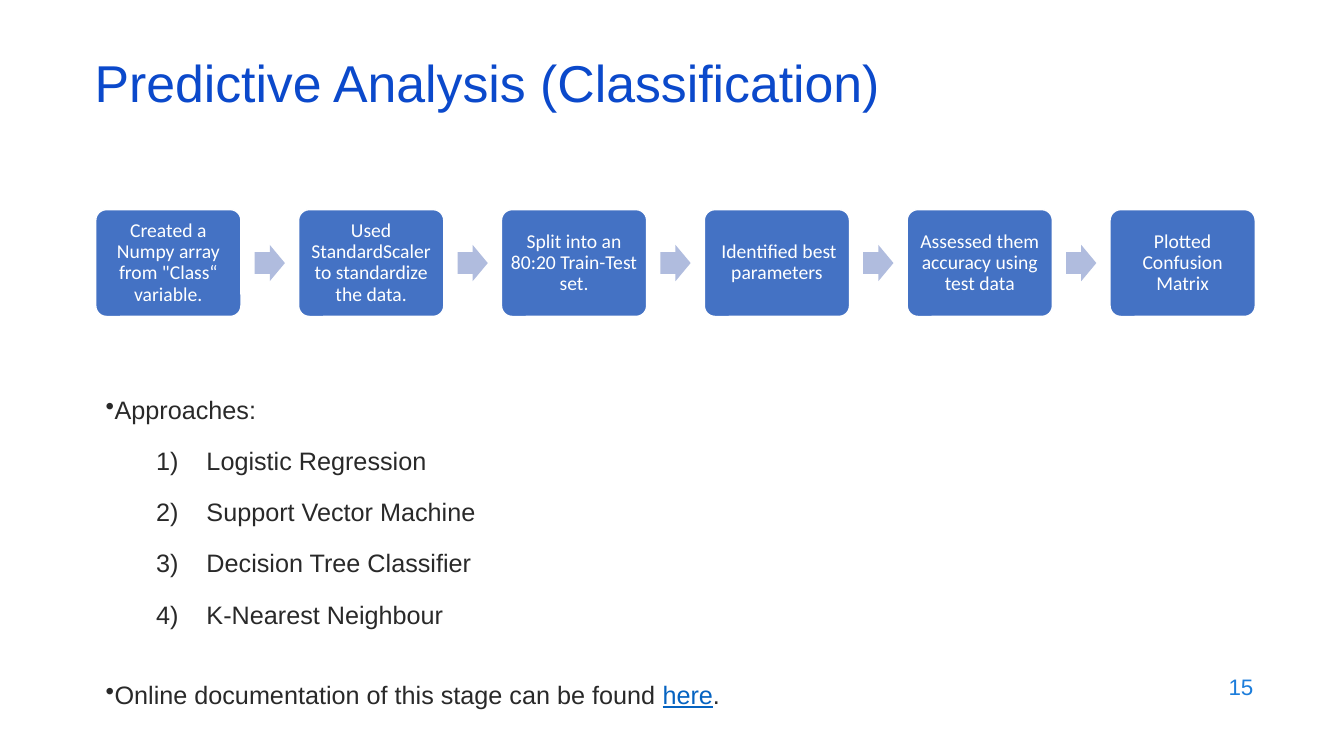
"""Build the slide on predictive analysis by classification."""
from lxml.etree import SubElement
from pptx import Presentation
from pptx.dml.color import RGBColor
from pptx.enum.shapes import MSO_SHAPE
from pptx.enum.text import MSO_ANCHOR, PP_ALIGN
from pptx.oxml.ns import qn
from pptx.util import Inches, Pt

TITLE = "Predictive Analysis (Classification)"
NUMBER = "15"
STEPS = [
    'Created a Numpy array from "Class“ variable.',
    "Used StandardScaler to standardize the data.",
    "Split into an 80:20 Train-Test set.",
    " Identified best parameters",
    "Assessed them accuracy using test data",
    "Plotted Confusion Matrix",
]
HEAD = "Approaches:"
METHODS = [
    "Logistic Regression",
    "Support Vector Machine",
    "Decision Tree Classifier",
    "K-Nearest Neighbour",
]
SOURCE = ["Online documentation of this stage can be found ", "here", "."]

NAVY = RGBColor(0x0B, 0x49, 0xCB)
SKY = RGBColor(0x1C, 0x7D, 0xDB)
INK = RGBColor(0x29, 0x29, 0x29)
LINK = RGBColor(0x05, 0x63, 0xC1)
BLUE = RGBColor(0x44, 0x72, 0xC4)
PALE = RGBColor(0xB0, 0xBC, 0xDE)
WHITE = RGBColor(0xFF, 0xFF, 0xFF)

LEFT, LAST, TOP = 0.95, 11.01, 2.08
BOX_W, BOX_H = 1.44, 1.06
ARROW_W, ARROW_H = 0.3, 0.36


def set_font(para, size, color, name="Arial"):
    font = para.font
    font.size, font.name = Pt(size), name
    font.color.rgb = color


def add_text(slide, area, anchor=MSO_ANCHOR.MIDDLE):
    frame = slide.shapes.add_textbox(*map(Inches, area)).text_frame
    frame.word_wrap = True
    frame.vertical_anchor = anchor
    return frame


def add_shape(slide, kind, area, fill, adjust):
    shape = slide.shapes.add_shape(kind, *map(Inches, area))
    shape.shadow.inherit = False
    shape.fill.solid()
    shape.fill.fore_color.rgb = fill
    for place, value in enumerate(adjust):
        shape.adjustments[place] = value
    return shape


def add_step(slide, left, text):
    area = (left, TOP, BOX_W, BOX_H)
    box = add_shape(slide, MSO_SHAPE.ROUNDED_RECTANGLE, area, BLUE, [0.1])
    box.line.color.rgb = WHITE
    box.line.width = Pt(1)
    frame = box.text_frame
    frame.word_wrap = True
    frame.vertical_anchor = MSO_ANCHOR.MIDDLE
    frame.margin_left = frame.margin_right = Inches(0.06)
    frame.margin_top = frame.margin_bottom = Inches(0.06)
    para = frame.paragraphs[0]
    para.text = text
    para.alignment = PP_ALIGN.CENTER
    para.line_spacing = 0.9
    set_font(para, 14, WHITE, "Calibri")


def add_item(frame, parts, margin=0, indent=0, number=False, before=0):
    para = frame.add_paragraph() if frame.text else frame.paragraphs[0]
    props = para._p.get_or_add_pPr()
    props.set("marL", str(Inches(margin)))
    props.set("indent", str(Inches(indent)))
    if number:
        SubElement(props, qn("a:buAutoNum"), type="arabicParenR")
    else:
        SubElement(props, qn("a:buChar"), char="•")
    if before:
        para.space_before = Pt(before)
    set_font(para, 18, INK)
    for part in parts:
        para.add_run().text = part
    return para


def main():
    deck = Presentation()
    deck.slide_width, deck.slide_height = Inches(13.33), Inches(7.5)
    slide = deck.slides.add_slide(deck.slide_layouts[6])

    title = add_text(slide, (0.84, 0.59, 11.5, 0.6)).paragraphs[0]
    title.text = TITLE
    title.line_spacing = 0.7
    set_font(title, 37, NAVY)

    pitch = (LAST - LEFT) / (len(STEPS) - 1)
    for place, text in enumerate(STEPS):
        left = LEFT + place * pitch
        add_step(slide, left, text)
        if place < len(STEPS) - 1:
            start = left + (BOX_W + pitch - ARROW_W) / 2
            area = (start, TOP + (BOX_H - ARROW_H) / 2, ARROW_W, ARROW_H)
            arrow = add_shape(slide, MSO_SHAPE.RIGHT_ARROW, area, PALE, [0.6, 0.5])
            arrow.line.fill.background()

    body = add_text(slide, (LEFT, 3.86, 10.66, 3.14), MSO_ANCHOR.TOP)
    add_item(body, [HEAD])
    for method in METHODS:
        add_item(body, [method], 1, -0.5, True, 15)
    source = add_item(body, SOURCE, before=38)
    source.line_spacing = 0.9
    here = source.runs[1].font
    here.color.rgb = LINK
    here.underline = True

    number = add_text(slide, (9.53, 6.59, 3, 0.44)).paragraphs[0]
    number.text = NUMBER
    number.alignment = PP_ALIGN.RIGHT
    set_font(number, 16, SKY)

    deck.save("out.pptx")


if __name__ == "__main__":
    main()
